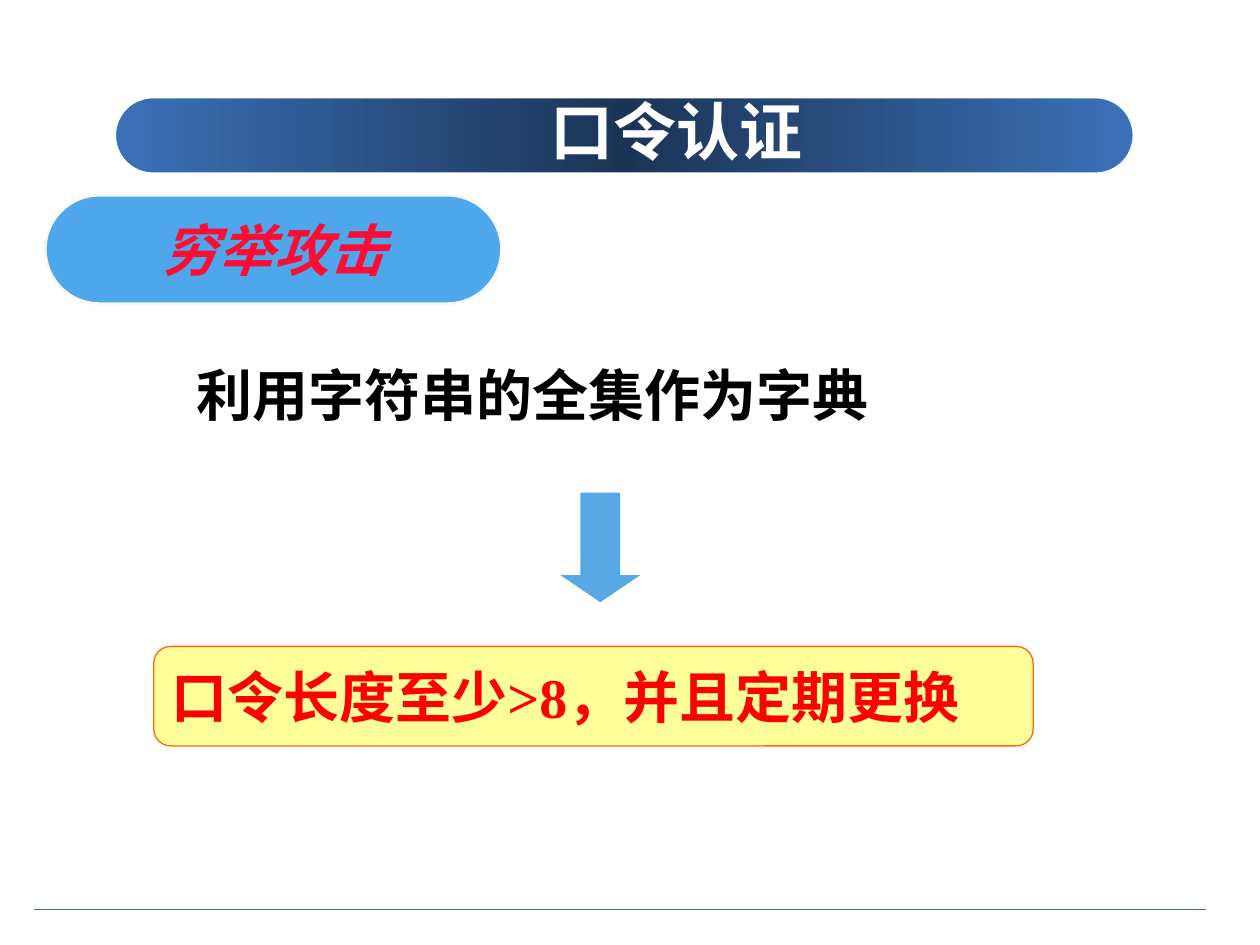
from copy import deepcopy
from dataclasses import dataclass

from lxml import etree
from pptx import Presentation
from pptx.dml.color import RGBColor
from pptx.enum.shapes import MSO_CONNECTOR, MSO_SHAPE
from pptx.enum.text import MSO_ANCHOR, MSO_AUTO_SIZE, PP_ALIGN
from pptx.oxml.ns import qn
from pptx.util import Inches, Pt

ROUNDED = MSO_SHAPE.ROUNDED_RECTANGLE
DOWN_ARROW = MSO_SHAPE.DOWN_ARROW
STRAIGHT = MSO_CONNECTOR.STRAIGHT
LEFT, CENTER, JUSTIFY = PP_ALIGN.LEFT, PP_ALIGN.CENTER, PP_ALIGN.JUSTIFY
TOP, MIDDLE = MSO_ANCHOR.TOP, MSO_ANCHOR.MIDDLE


@dataclass(frozen=True)
class Theme:
    blue: str = "3B71B9"
    navy: str = "1B3456"
    white: str = "FFFFFF"
    black: str = "000000"
    pill: str = "4EA7EA"
    pill_edge: str = "F8F8F8"
    pill_text: str = "FE0C34"
    arrow: str = "57A8E5"
    note: str = "FFFF99"
    note_edge: str = "FF6600"
    note_text: str = "FF0000"
    chinese: str = "Noto Sans CJK SC"
    sans: str = "Lato"
    serif: str = "Times New Roman"
    title_size: int = 36
    text_size: int = 32


THEME = Theme()


def rgb(value):
    return RGBColor.from_string(value)


def place(shape, box):
    shape.left, shape.top, shape.width, shape.height = map(Inches, box)


def send_to_back(slide, shape):
    slide.shapes._spTree.insert(2, shape._element)


def write(shape, text, color, font_name, size=THEME.text_size, align=CENTER,
          anchor=MIDDLE, italic=False, hanging=0):
    frame = shape.text_frame
    frame.text = text
    frame.word_wrap = True
    frame.auto_size = MSO_AUTO_SIZE.NONE
    frame.vertical_anchor = anchor
    paragraph = frame.paragraphs[0]
    paragraph.alignment = align
    paragraph.space_before = Pt(0)
    properties = paragraph._p.get_or_add_pPr()
    properties.set("marL", str(Inches(hanging)))
    properties.set("indent", str(-Inches(hanging)))
    etree.SubElement(properties, qn("a:buNone"))
    font = paragraph.font
    font.name = font_name
    font.size = Pt(size)
    font.bold = True
    font.italic = italic
    font.color.rgb = rgb(color)
    latin = properties.find(qn("a:defRPr")).find(qn("a:latin"))
    east_asian = etree.Element(qn("a:ea"), typeface=THEME.chinese)
    latin.addnext(east_asian)


def add_block(slide, kind, box, adjustments, fill, edge=None, edge_width=0):
    shape = slide.shapes.add_shape(kind, *map(Inches, box))
    shape.shadow.inherit = False
    for index, value in enumerate(adjustments):
        shape.adjustments[index] = value
    shape.fill.solid()
    shape.fill.fore_color.rgb = rgb(fill)
    if edge:
        shape.line.color.rgb = rgb(edge)
        shape.line.width = Pt(edge_width)
    else:
        shape.line.fill.background()
    return shape


def fill_with_gradient(shape, colors):
    """Spread the colours evenly from left to right."""
    fill = shape.fill
    fill.gradient()
    fill.gradient_angle = 0
    stop_list = shape._element.spPr.find(qn("a:gradFill")).find(qn("a:gsLst"))
    while len(stop_list) < len(colors):
        stop_list.append(deepcopy(stop_list[0]))
    for index, (stop, color) in enumerate(zip(fill.gradient_stops, colors)):
        stop.position = index / (len(colors) - 1)
        stop.color.rgb = rgb(color)


def add_title_bar(slide):
    bar = add_block(slide, ROUNDED, (0.9, 0.76, 8.11, 0.63), [0.5],
                    THEME.blue, THEME.white, 3)
    fill_with_gradient(bar, [THEME.blue, THEME.navy, THEME.blue])
    send_to_back(slide, bar)


def add_footer_rule(slide):
    rule = slide.shapes.add_connector(
        STRAIGHT, *map(Inches, (0.27, 7.22, 9.57, 7.22)))
    rule.line.color.rgb = rgb(THEME.blue)
    rule.line.width = Pt(0.75)
    etree.SubElement(rule._element.spPr, qn("a:effectLst"))
    send_to_back(slide, rule)


def main():
    presentation = Presentation()
    presentation.slide_width = Inches(10)
    presentation.slide_height = Inches(7.5)
    slide = presentation.slides.add_slide(presentation.slide_layouts[1])

    add_footer_rule(slide)
    add_title_bar(slide)

    title, body = slide.placeholders
    place(title, (1.41, 0.76, 7.92, 0.55))
    write(title, "口令认证", THEME.white, THEME.chinese, THEME.title_size)
    place(body, (1.46, 2.81, 6.3, 1.02))
    write(body, "利用字符串的全集作为字典", THEME.black, THEME.chinese,
          align=JUSTIFY, anchor=TOP, hanging=0.38)

    attack = add_block(slide, ROUNDED, (0.36, 1.55, 3.62, 0.86), [0.5],
                       THEME.pill, THEME.pill_edge, 1.5)
    write(attack, "穷举攻击", THEME.pill_text, THEME.sans, italic=True)

    add_block(slide, DOWN_ARROW, (4.45, 3.91, 0.63, 0.87), [0.5, 0.34],
              THEME.arrow)

    advice = add_block(slide, ROUNDED, (1.22, 5.13, 6.98, 0.79), [0.17],
                       THEME.note, THEME.note_edge, 0.75)
    write(advice, "口令长度至少>8，并且定期更换", THEME.note_text, THEME.serif,
          align=LEFT)

    presentation.save("out.pptx")


if __name__ == "__main__":
    main()
